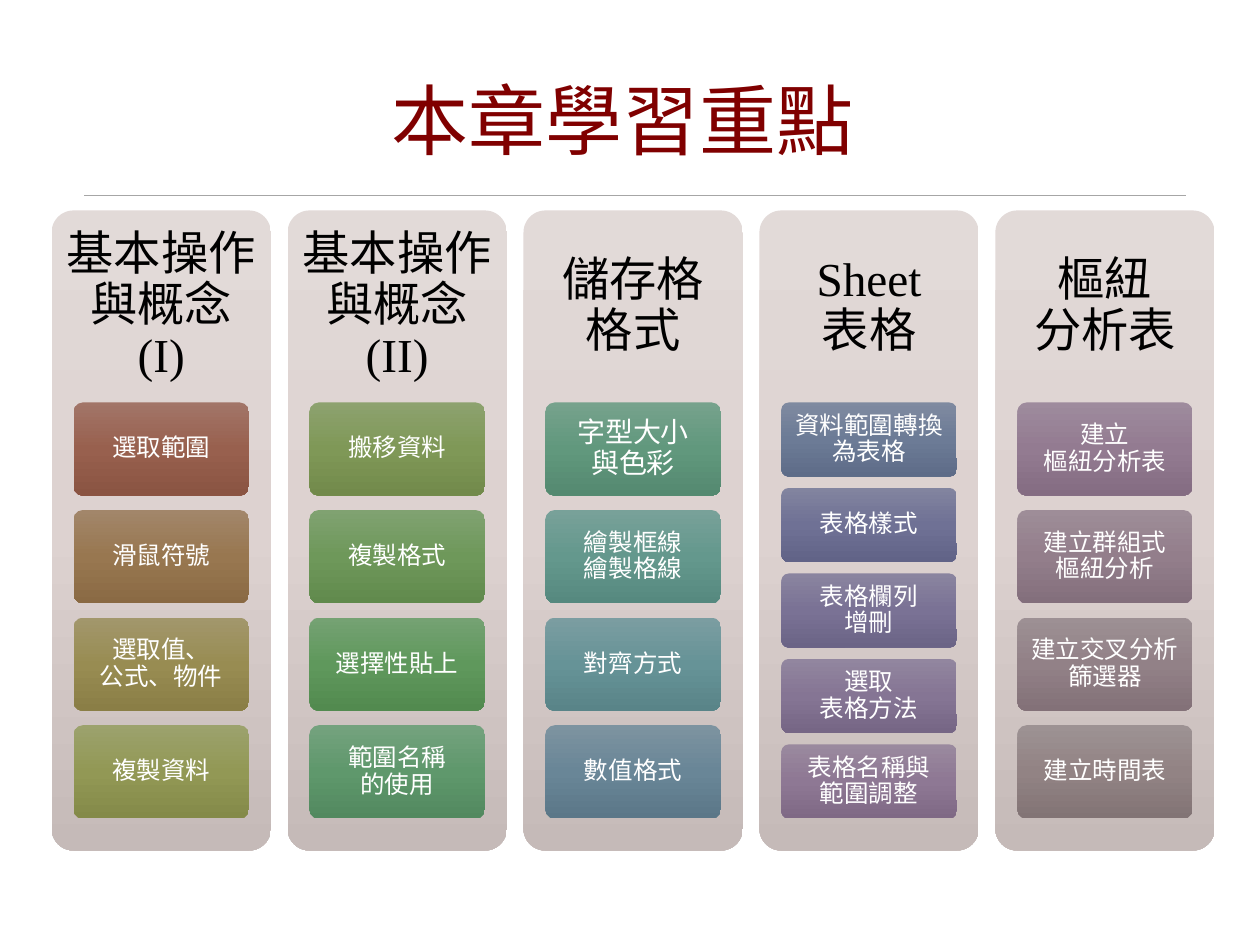
from copy import deepcopy
from dataclasses import dataclass
from itertools import count

from pptx import Presentation
from pptx.dml.color import RGBColor
from pptx.enum.shapes import MSO_CONNECTOR, MSO_SHAPE
from pptx.enum.text import MSO_ANCHOR, PP_ALIGN
from pptx.oxml.ns import qn
from pptx.oxml.xmlchemy import OxmlElement
from pptx.util import Inches, Pt

ROUNDED = MSO_SHAPE.ROUNDED_RECTANGLE
STRAIGHT = MSO_CONNECTOR.STRAIGHT
MIDDLE = MSO_ANCHOR.MIDDLE
CENTER = PP_ALIGN.CENTER
TITLE_ONLY = 5


@dataclass(frozen=True)
class Theme:
    font: str = "Times New Roman"
    title: str = "800000"
    heading: str = "000000"
    item: str = "FFFFFF"
    rule: str = "A6A6A6"
    title_pt: int = 44
    heading_pt: int = 27
    item_pt: int = 14
    panel: str = "E2DAD8 DDD2D0 C5BAB8"
    items: tuple[str, ...] = (
        "A27568 98604E 8A5442",
        "A2866A 987750 8A6A44",
        "A2976C 988C52 8A7E46",
        "9CA26D 929855 848A49",
        "8DA26F 7F9857 728A4B",
        "80A271 6E985A 618A4D",
        "75A273 5F985C 528A4F",
        "74A27E 5F986C 52895F",
        "76A28C 61987D 548970",
        "78A199 64988D 56897F",
        "7B9DA1 669397 598488",
        "7D93A0 698697 5B7788",
        "7F8AA0 6C7B96 5E6C88",
        "82849F 6F7195 616387",
        "8A849F 7A7295 6B6486",
        "92869F 857594 766685",
        "9A899E 8E7894 7F6985",
        "9E8B9D 937B91 846C82",
        "9E8D98 937E8B 836F7C",
        "9D9094 928187 837178",
        "9D9293 928384 827475",
    )


@dataclass(frozen=True)
class Box:
    x: float
    y: float
    w: float
    h: float

    def emu(self) -> tuple:
        return tuple(Inches(v) for v in (self.x, self.y, self.w, self.h))


@dataclass(frozen=True)
class Item:
    text: str
    size: int = Theme.item_pt


@dataclass(frozen=True)
class Topic:
    heading: str
    items: tuple[Item, ...]


@dataclass(frozen=True)
class Grid:
    x: float = 0.41
    y: float = 1.67
    w: float = 1.74
    h: float = 5.08
    pitch: float = 1.8725
    heading_share: float = 0.3
    items_share: float = 0.65
    item_width: float = 0.8
    gap_share: float = 0.154

    def panel(self, col: int) -> Box:
        return Box(self.x + col * self.pitch, self.y, self.w, self.h)

    def heading(self, col: int) -> Box:
        return Box(self.panel(col).x, self.y, self.w, self.h * self.heading_share)

    def item(self, col: int, row: int, rows: int) -> Box:
        h = self.h * self.items_share / (rows + (rows - 1) * self.gap_share)
        x = self.panel(col).x + self.w * (1 - self.item_width) / 2
        y = self.y + self.h * self.heading_share + row * h * (1 + self.gap_share)
        return Box(x, y, self.w * self.item_width, h)


THEME = Theme()
GRID = Grid()
TOPICS = (
    Topic("基本操作\n與概念 (I)", (
        Item("選取範圍"), Item("滑鼠符號"),
        Item("選取值、\n公式、物件"), Item("複製資料"))),
    Topic("基本操作\n與概念 (II)", (
        Item("搬移資料"), Item("複製格式"),
        Item("選擇性貼上"), Item("範圍名稱\n的使用"))),
    Topic("儲存格\n格式", (
        Item("字型大小\n與色彩", 16), Item("繪製框線\n繪製格線"),
        Item("對齊方式"), Item("數值格式"))),
    Topic("Sheet\n表格", (
        Item("資料範圍轉換為表格"), Item("表格樣式"), Item("表格欄列\n增刪"),
        Item("選取\n表格方法"), Item("表格名稱與\n範圍調整"))),
    Topic("樞紐\n分析表", (
        Item("建立\n樞紐分析表"), Item("建立群組式\n樞紐分析"),
        Item("建立交叉分析篩選器"), Item("建立時間表"))),
)


def write(sp, text: str, size: int, color: str, dx: float, dy: float) -> None:
    tf = sp.text_frame
    tf.word_wrap = True
    tf.vertical_anchor = MIDDLE
    tf.margin_left = tf.margin_right = Inches(dx)
    tf.margin_top = tf.margin_bottom = Inches(dy)
    p = tf.paragraphs[0]
    p.text = text
    p.alignment = CENTER
    p.line_spacing = 0.9
    for r in p.runs:
        r.font.name = THEME.font
        r.font.size = Pt(size)
        r.font.color.rgb = RGBColor.from_string(color)


def add_card(slide, box: Box, ramp: str):
    sp = slide.shapes.add_shape(ROUNDED, *box.emu())
    sp.adjustments[0] = 0.1
    sp.shadow.inherit = False
    sp.line.fill.background()
    sp.fill.gradient()
    sp.fill.gradient_angle = 270
    stops = sp._element.spPr.find(qn("a:gradFill")).find(qn("a:gsLst"))
    stops.append(deepcopy(stops[0]))
    for i, (stop, color) in enumerate(zip(sp.fill.gradient_stops, ramp.split())):
        stop.position = i / 2
        stop.color.rgb = RGBColor.from_string(color)
    return sp


def add_rule(slide, x1: float, x2: float, y: float) -> None:
    line = slide.shapes.add_connector(
        STRAIGHT, Inches(x1), Inches(y), Inches(x2), Inches(y))
    line.line.color.rgb = RGBColor.from_string(THEME.rule)
    line.line.width = Pt(0.5)
    line._element.spPr.append(OxmlElement("a:effectLst"))


def add_topic(slide, col: int, topic: Topic, order: count) -> None:
    add_card(slide, GRID.panel(col), THEME.panel)
    tb = slide.shapes.add_textbox(*GRID.heading(col).emu())
    write(tb, topic.heading, THEME.heading_pt, THEME.heading, 0.11, 0.11)
    for row, item in enumerate(topic.items):
        box = GRID.item(col, row, len(topic.items))
        sp = add_card(slide, box, THEME.items[next(order)])
        write(sp, item.text, item.size, THEME.item, 0.06, 0.05)


def main() -> None:
    prs = Presentation()
    prs.slide_width, prs.slide_height = Inches(10), Inches(7.5)
    slide = prs.slides.add_slide(prs.slide_layouts[TITLE_ONLY])
    title = slide.shapes.title
    title.left, title.top, title.width, title.height = Box(0.63, 0.41, 8.62, 1.15).emu()
    write(title, "本章學習重點", THEME.title_pt, THEME.title, 0.1, 0.05)
    add_rule(slide, 0.67, 9.41, 1.55)
    order = count()
    for col, topic in enumerate(TOPICS):
        add_topic(slide, col, topic, order)
    prs.save("out.pptx")


if __name__ == "__main__":
    main()
